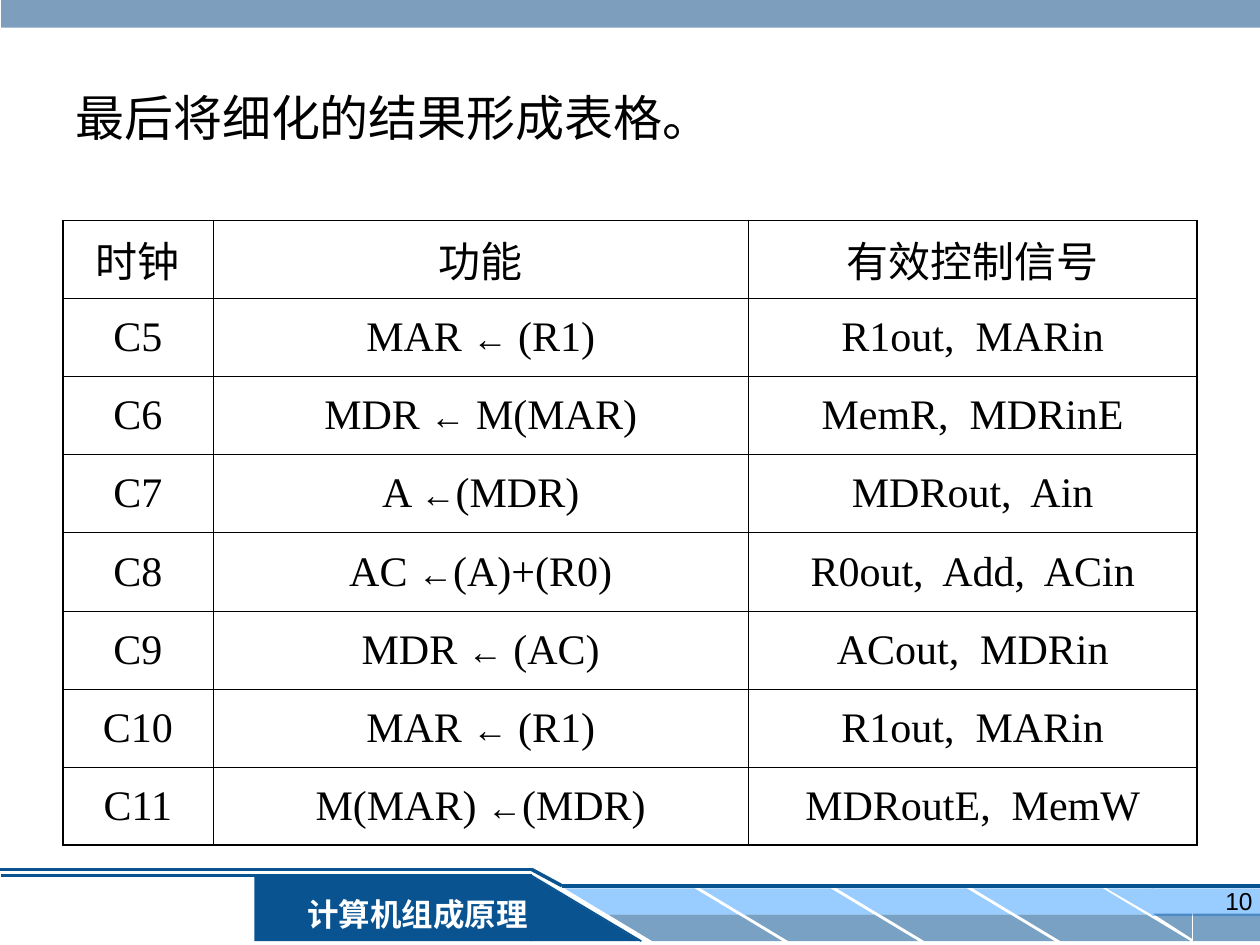
import pptx
import pptx.dml.color
import pptx.enum.shapes
import pptx.enum.text
import pptx.oxml
import pptx.oxml.ns
import pptx.util
from lxml import etree

Inches = pptx.util.Inches
Pt = pptx.util.Pt
Shape = pptx.enum.shapes.MSO_SHAPE
Align = pptx.enum.text.PP_ALIGN
Anchor = pptx.enum.text.MSO_ANCHOR
qn = pptx.oxml.ns.qn

NAVY, SKY, STEEL, WHITE, BLACK = "095391", "99CCFF", "336699", "FFFFFF", "000000"
SERIF = "Times New Roman"

TITLE = "最后将细化的结果形成表格。"
COURSE = "计算机组成原理"
PAGE_NUMBER = "10"
HEADER = ("时钟", "功能", "有效控制信号")
STEPS = [
    ("C5", "MAR ← (R1)", "R1out,  MARin"),
    ("C6", "MDR ← M(MAR)", "MemR,  MDRinE"),
    ("C7", "A ←(MDR)", "MDRout,  Ain"),
    ("C8", "AC ←(A)+(R0)", "R0out,  Add,  ACin"),
    ("C9", "MDR ← (AC)", "ACout,  MDRin"),
    ("C10", "MAR ← (R1)", "R1out,  MARin"),
    ("C11", "M(MAR) ←(MDR)", "MDRoutE,  MemW"),
]
COLUMN_WIDTHS = (1.19, 4.25, 3.56)
TABLE_LEFT, TABLE_TOP, ROW_HEIGHT = 0.5, 1.75, 0.62
THIN, THICK = 0.45, 1.08

# Footer lines: start, end, width in points
FOOTER_LINES = [
    ((5.09, 7.47), (4.22, 6.95), 1),
    ((4.22, 6.95), (0.01, 6.95), 1.5),
    ((-0.01, 6.9), (4.22, 6.9), 2),
    ((4.22, 6.9), (4.46, 7.03), 2),
    ((4.46, 7.03), (10.01, 7.03), 2),
]
TILE_COUNT, TILE_PITCH, TILE_SIZE = 4, 1.08, (1.38, 0.21)
TILE_ROWS = [(4.48, 7.05, SKY, 100), (4.83, 7.26, NAVY, 54)]


def color(value):
    return pptx.dml.color.RGBColor.from_string(value)


def add_block(page, kind, left, top, width, height, fill, opacity=100):
    block = page.shapes.add_shape(kind, Inches(left), Inches(top), Inches(width), Inches(height))
    block.shadow.inherit = False
    block.line.fill.background()
    block.fill.solid()
    block.fill.fore_color.rgb = color(fill)
    if opacity < 100:
        tint = block._element.spPr.find(qn("a:solidFill"))[0]
        etree.SubElement(tint, qn("a:alpha"), val=str(opacity * 1000))
    return block


def add_line(page, start, end, width):
    line = page.shapes.add_connector(
        pptx.enum.shapes.MSO_CONNECTOR.STRAIGHT, *(Inches(value) for value in start + end))
    line.line.color.rgb = color(NAVY)
    line.line.width = Pt(width)
    etree.SubElement(line._element.spPr, qn("a:effectLst"))


def write(frame, text, size, font=SERIF, ink=BLACK, align=Align.LEFT, bold=False):
    """Fill a frame with one paragraph, its arrows in a smaller run."""
    paragraph = frame.paragraphs[0]
    paragraph.alignment = align
    before, arrow, after = text.partition("←")
    for part in filter(None, (before, arrow, after)):
        span = paragraph.add_run()
        span.text = part
        span.font.size = Pt(20 if part == "←" else size)
        span.font.name = font
        span.font.bold = bold
        span.font.color.rgb = color(ink)


def add_text(page, left, top, width, height, text, size, anchor=Anchor.TOP, **style):
    box = page.shapes.add_textbox(Inches(left), Inches(top), Inches(width), Inches(height))
    box.text_frame.word_wrap = True
    box.text_frame.vertical_anchor = anchor
    write(box.text_frame, text, size, **style)


def set_borders(cell, widths):
    """Draw the left, right, top and bottom borders, before the cell's fill."""
    properties = cell._tc.get_or_add_tcPr()
    for position, (side, width) in enumerate(zip("LRTB", widths)):
        border = pptx.oxml.parse_xml(
            f'<a:ln{side} {pptx.oxml.ns.nsdecls("a")} w="{Pt(width)}"><a:solidFill>'
            f'<a:srgbClr val="{BLACK}"/></a:solidFill></a:ln{side}>')
        properties.insert(position, border)


def add_footer(page):
    add_block(page, Shape.RECTANGLE, 2.02, 6.95, 2.2, 0.52, NAVY)
    for left, top, fill, opacity in TILE_ROWS:
        for index in range(TILE_COUNT):
            tile = add_block(page, Shape.PARALLELOGRAM, left + index * TILE_PITCH, top,
                             *TILE_SIZE, fill, opacity)
            tile.adjustments[0] = 1.66
            tile._element.spPr.find(qn("a:xfrm")).set("flipH", "1")
    add_block(page, Shape.RECTANGLE, 9.14, 7.05, 0.86, 0.22, SKY)
    add_block(page, Shape.RIGHT_TRIANGLE, 8.78, 7.05, 0.38, 0.22, SKY).rotation = 180
    add_block(page, Shape.RECTANGLE, 9.47, 7.25, 0.54, 0.22, NAVY, 54)
    add_block(page, Shape.RIGHT_TRIANGLE, 9.15, 7.25, 0.31, 0.2, NAVY, 54).rotation = 180
    add_block(page, Shape.RIGHT_TRIANGLE, 4.21, 6.95, 0.87, 0.52, NAVY)
    label = add_block(page, Shape.RECTANGLE, 2.29, 7.05, 2.05, 0.4, NAVY)
    label.text_frame.vertical_anchor = Anchor.MIDDLE
    write(label.text_frame, COURSE, 18, ink=WHITE, align=Align.CENTER, bold=True)
    for start, end, width in FOOTER_LINES:
        add_line(page, start, end, width)


def add_signal_table(page):
    rows = [HEADER] + STEPS
    last_row, last_column = len(rows) - 1, len(HEADER) - 1
    table = page.shapes.add_table(
        len(rows), len(HEADER), Inches(TABLE_LEFT), Inches(TABLE_TOP),
        Inches(sum(COLUMN_WIDTHS)), Inches(ROW_HEIGHT * len(rows))).table
    table.first_row = table.horz_banding = False
    for column, width in zip(table.columns, COLUMN_WIDTHS):
        column.width = Inches(width)
    for r, texts in enumerate(rows):
        table.rows[r].height = Inches(ROW_HEIGHT)
        for c, text in enumerate(texts):
            cell = table.cell(r, c)
            cell.fill.background()
            cell.vertical_anchor = Anchor.MIDDLE
            write(cell.text_frame, text, 24, font=SERIF if r else "Roboto", align=Align.CENTER)
            outer = (c == 0, c == last_column, r == 0, r == last_row)
            set_borders(cell, [THICK if edge else THIN for edge in outer])


def main():
    deck = pptx.Presentation()
    deck.slide_width, deck.slide_height = Inches(10), Inches(7.5)
    page = deck.slides.add_slide(deck.slide_layouts[6])
    add_footer(page)
    add_block(page, Shape.RECTANGLE, 0.01, -0.03, 10, 0.25, STEEL, 63)
    add_text(page, 7.71, 6.98, 2.33, 0.52, PAGE_NUMBER, 14, font="Arial", align=Align.RIGHT)
    add_text(page, 0.5, 0.3, 9, 1.25, TITLE, 28, anchor=Anchor.MIDDLE)
    add_signal_table(page)
    deck.save("out.pptx")


if __name__ == "__main__":
    main()
